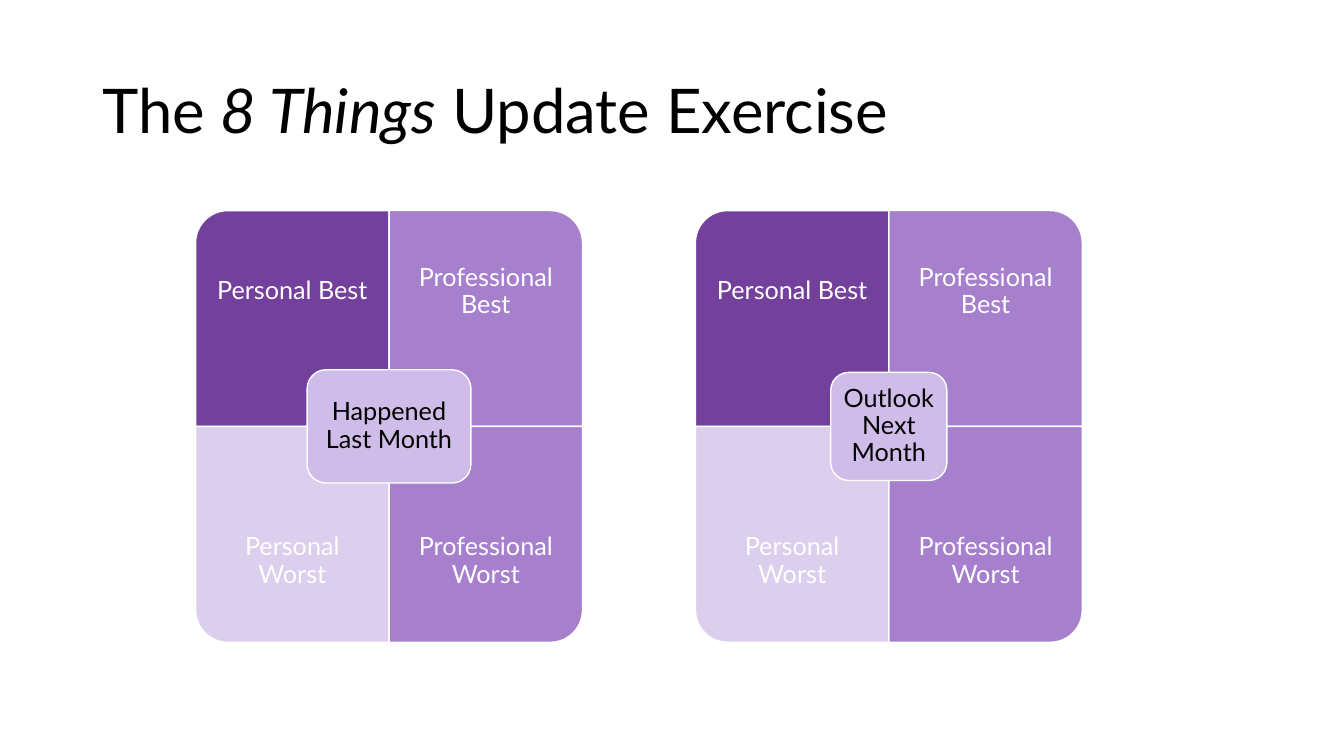
import dataclasses
import typing

import pptx
import pptx.dml.color
import pptx.enum.shapes
import pptx.enum.text
import pptx.util

Pt = pptx.util.Pt
ShapeType = pptx.enum.shapes.MSO_SHAPE
Alignment = pptx.enum.text.PP_ALIGN

FONT = "Lato"
WHITE, BLACK = "FFFFFF", "000000"
QUADRANT_WIDTH, QUADRANT_HEIGHT = 138.2, 154.2
LABEL_HEIGHT = 115.7
CENTER_Y = 304.6


@dataclasses.dataclass
class Quadrant:
    text: str
    fill: str
    column: int
    row: int
    rotation: int


@dataclasses.dataclass
class Matrix:
    text: str
    center_x: float
    badge_width: float
    badge_height: float


QUADRANTS = [
    Quadrant("Personal Best", "73409C", 0, 0, 270),
    Quadrant("Professional Best", "A67FCD", 1, 0, 0),
    Quadrant("Personal Worst", "DCCEED", 0, 1, 180),
    Quadrant("Professional Worst", "A67FCD", 1, 1, 90),
]
MATRICES = [
    Matrix("Happened Last Month", 277.9, 117, 80.9),
    Matrix("Outlook Next Month", 634.9, 83, 77.2),
]


def color(value: str) -> pptx.dml.color.RGBColor:
    return pptx.dml.color.RGBColor.from_string(value)


def write(shape: typing.Any, runs: list[tuple[str, bool]], size: float,
          font_color: str, alignment: Alignment, insets: tuple[float, float]) -> None:
    """Fill a shape with one paragraph of (text, italic) runs."""
    frame = shape.text_frame
    frame.word_wrap = True
    frame.vertical_anchor = pptx.enum.text.MSO_ANCHOR.MIDDLE
    frame.margin_left = frame.margin_right = Pt(insets[0])
    frame.margin_top = frame.margin_bottom = Pt(insets[1])
    paragraph = frame.paragraphs[0]
    paragraph.alignment = alignment
    paragraph.line_spacing = 0.9
    for text, italic in runs:
        run = paragraph.add_run()
        run.text = text
        run.font.name = FONT
        run.font.size = Pt(size)
        run.font.italic = italic
        run.font.color.rgb = color(font_color)


def add_centered(shapes: typing.Any, kind: ShapeType, center_x: float, center_y: float,
                 width: float, height: float, fill: str) -> typing.Any:
    """Add a white-outlined shape around a center point."""
    shape = shapes.add_shape(kind, Pt(center_x - width / 2), Pt(center_y - height / 2),
                             Pt(width), Pt(height))
    shape.shadow.inherit = False
    shape.fill.solid()
    shape.fill.fore_color.rgb = color(fill)
    shape.line.color.rgb = color(WHITE)
    shape.line.width = Pt(1)
    return shape


def add_quadrant(shapes: typing.Any, quadrant: Quadrant, matrix_x: float) -> None:
    left = matrix_x + (quadrant.column - 1) * QUADRANT_WIDTH
    top = CENTER_Y + (quadrant.row - 1) * QUADRANT_HEIGHT
    width, height = QUADRANT_WIDTH, QUADRANT_HEIGHT
    # A quarter turn swaps the unrotated width and height
    if quadrant.rotation % 180:
        width, height = height, width
    tile = add_centered(shapes, ShapeType.ROUND_1_RECTANGLE, left + QUADRANT_WIDTH / 2,
                        top + QUADRANT_HEIGHT / 2, width, height, quadrant.fill)
    tile.rotation = quadrant.rotation

    # Labels keep to the outer edge, clear of the center badge
    label_top = top + quadrant.row * (QUADRANT_HEIGHT - LABEL_HEIGHT)
    label = shapes.add_textbox(Pt(left), Pt(label_top), Pt(QUADRANT_WIDTH), Pt(LABEL_HEIGHT))
    write(label, [(quadrant.text, False)], 18, WHITE, Alignment.CENTER, (10, 10))


def add_matrix(slide: typing.Any, matrix: Matrix) -> None:
    shapes = slide.shapes.add_group_shape().shapes
    for quadrant in QUADRANTS:
        add_quadrant(shapes, quadrant, matrix.center_x)
    badge = add_centered(shapes, ShapeType.ROUNDED_RECTANGLE, matrix.center_x, CENTER_Y,
                         matrix.badge_width, matrix.badge_height, "D0BCE8")
    write(badge, [(matrix.text, False)], 18, BLACK, Alignment.CENTER, (5, 5))


presentation = pptx.Presentation()
presentation.slide_width, presentation.slide_height = Pt(960), Pt(540)
slide = presentation.slides.add_slide(presentation.slide_layouts[6])

# Title
title = slide.shapes.add_textbox(Pt(66), Pt(28.8), Pt(828), Pt(104.4))
write(title, [("The ", False), ("8 Things", True), (" Update Exercise", False)],
      44, BLACK, Alignment.LEFT, (7.2, 3.6))

# Two four-part matrices
for matrix in MATRICES:
    add_matrix(slide, matrix)

presentation.save("out.pptx")
